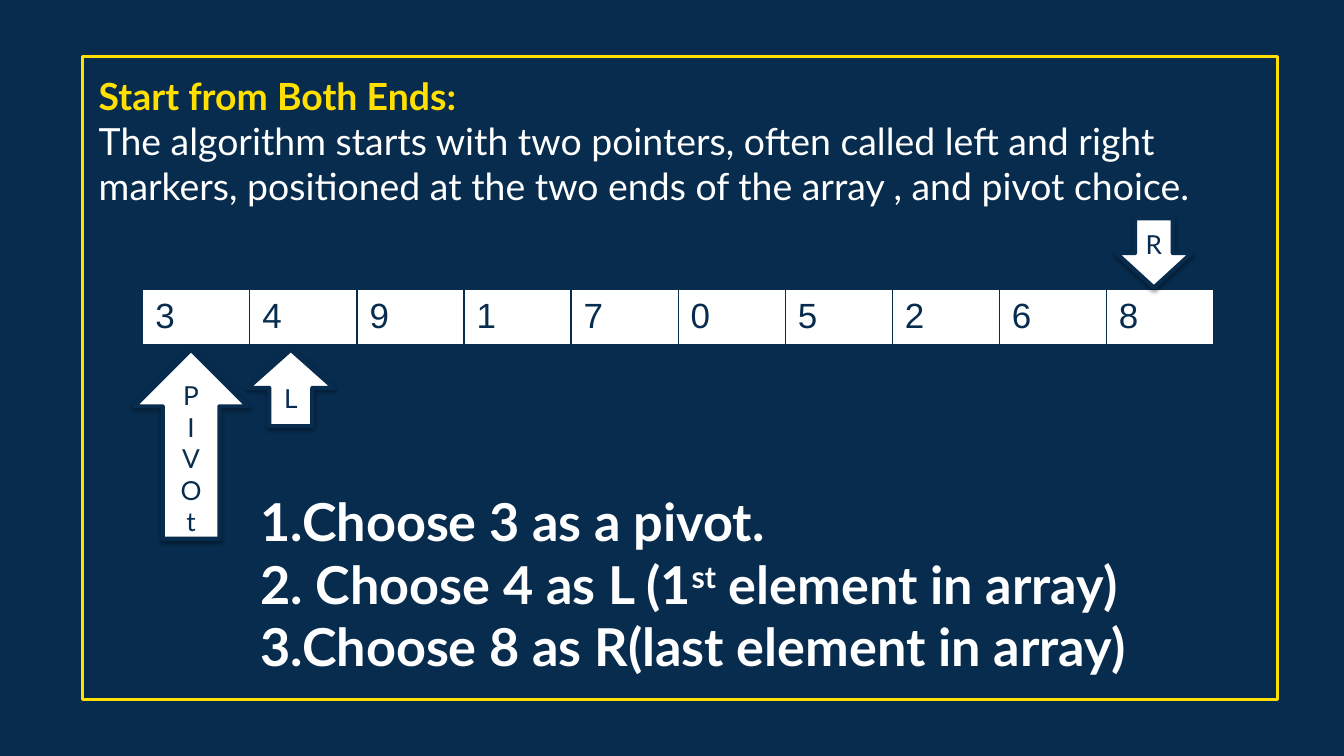
from dataclasses import dataclass

from lxml import etree
from pptx import Presentation
from pptx.dml.color import RGBColor
from pptx.enum.shapes import MSO_SHAPE as Shape
from pptx.enum.text import MSO_ANCHOR as Anchor, PP_ALIGN as Align
from pptx.oxml import parse_xml
from pptx.oxml.ns import nsdecls, qn
from pptx.util import Emu, Pt

EMU_PER_PX = 9525


@dataclass(frozen=True)
class Theme:
    navy: str = "072C4E"
    yellow: str = "FFE000"
    white: str = "FFFFFF"
    body_font: str = "Lato"
    cell_font: str = "Arial"
    pointer_size: float = 18.7
    cell_size: float = 25
    intro_size: float = 26.7
    step_size: float = 37.3


T = Theme()


def px(n):
    return Emu(n * EMU_PER_PX)


def rgb(color):
    return RGBColor.from_string(color)


def add_text(p, text, *, size, color, font=T.body_font, bold=False, raised=False):
    r = p.add_run()
    r.text = text
    r.font.size = Pt(size)
    r.font.name = font
    r.font.bold = bold
    r.font.color.rgb = rgb(color)
    if raised:
        r.font._element.set("baseline", "30000")


def add_paragraph(tf, index):
    return tf.add_paragraph() if index else tf.paragraphs[0]


def add_box(s, kind, box, fill, line, weight):
    sp = s.shapes.add_shape(kind, *map(px, box))
    sp.shadow.inherit = False
    sp.fill.solid()
    sp.fill.fore_color.rgb = rgb(fill)
    sp.line.color.rgb = rgb(line)
    sp.line.width = Pt(weight)
    return sp


def add_frame(s, box):
    sp = add_box(s, Shape.RECTANGLE, box, T.navy, T.yellow, 2.25)
    color = sp._element.spPr.find(qn("a:solidFill"))[0]
    etree.SubElement(color, qn("a:alpha")).set("val", "91000")


def add_pointer(s, kind, box, label):
    """Arrow with one letter of its label per line."""
    sp = add_box(s, kind, box, T.white, T.navy, 3)
    sp._element.spPr.find(qn("a:effectLst")).append(parse_xml(
        f'<a:outerShdw {nsdecls("a")} blurRad="{Pt(3.1)}" dist="{Pt(1.6)}" '
        'dir="5400000" rotWithShape="0"><a:srgbClr val="000000">'
        '<a:alpha val="38000"/></a:srgbClr></a:outerShdw>'))
    tf = sp.text_frame
    tf.word_wrap = True
    tf.vertical_anchor = Anchor.MIDDLE
    for i, letter in enumerate(label):
        p = add_paragraph(tf, i)
        p.alignment = Align.CENTER
        add_text(p, letter, size=T.pointer_size, color=T.navy)


def add_text_box(s, box, margins=(10, 5)):
    tf = s.shapes.add_textbox(*map(px, box)).text_frame
    tf.word_wrap = True
    tf.margin_left = tf.margin_right = px(margins[0])
    tf.margin_top = tf.margin_bottom = px(margins[1])
    return tf


def set_borders(cell):
    tc_pr = cell._tc.get_or_add_tcPr()
    sides = (("lnL", 1), ("lnR", 1), ("lnT", 1), ("lnB", 3))
    for i, (side, weight) in enumerate(sides):
        tc_pr.insert(i, parse_xml(
            f'<a:{side} {nsdecls("a")} w="{Pt(weight)}"><a:solidFill>'
            f'<a:srgbClr val="{T.navy}"/></a:solidFill></a:{side}>'))


def add_array(s, values, left, top, cell_width, height):
    table = s.shapes.add_table(1, len(values), px(left), px(top),
                               px(cell_width * len(values)), px(height)).table
    table.first_row = table.horz_banding = False
    for i, value in enumerate(values):
        table.columns[i].width = px(cell_width)
        cell = table.cell(0, i)
        cell.margin_left = cell.margin_right = px(12)
        cell.margin_top = cell.margin_bottom = px(7)
        cell.fill.solid()
        cell.fill.fore_color.rgb = rgb(T.white)
        set_borders(cell)
        add_text(cell.text_frame.paragraphs[0], str(value), size=T.cell_size,
                 color=T.navy, font=T.cell_font)


def add_intro(s):
    tf = add_text_box(s, (84, 65, 1123, 139))
    add_text(tf.paragraphs[0], "Start from Both Ends:", size=T.intro_size,
             color=T.yellow, bold=True)
    add_text(tf.add_paragraph(),
             "The algorithm starts with two pointers, often called left and right "
             "markers, positioned at the two ends of the array , and pivot choice.",
             size=T.intro_size, color=T.white)


def add_steps(s):
    # Each step is a list of runs; the "st" run is superscript
    steps = (["1.Choose 3 as a pivot."],
             ["2. Choose 4 as L (1", "st", " element in array)"],
             ["3.Choose 8 as R(last element in array)"])
    tf = add_text_box(s, (236, 459, 948, 193), margins=(12, 7))
    for i, runs in enumerate(steps):
        p = add_paragraph(tf, i)
        for text in runs:
            add_text(p, text, size=T.step_size, color=T.white, bold=True,
                     raised=text == "st")


def main():
    prs = Presentation()
    prs.slide_width, prs.slide_height = px(1280), px(720)
    s = prs.slides.add_slide(prs.slide_layouts[6])
    s.background.fill.solid()
    s.background.fill.fore_color.rgb = rgb(T.navy)

    # Frame and array
    add_frame(s, (79, 54, 1138, 612))
    add_array(s, (3, 4, 9, 1, 7, 0, 5, 2, 6, 8), 136, 276, 102, 53)

    # Pointers into the array
    add_pointer(s, Shape.UP_ARROW, (128, 333, 108, 180), "PIVOt")
    add_pointer(s, Shape.UP_ARROW, (236, 333, 82, 73), "L")
    add_pointer(s, Shape.DOWN_ARROW, (1063, 208, 72, 66), "R")

    # Explanation
    add_intro(s)
    add_steps(s)
    prs.save("out.pptx")


if __name__ == "__main__":
    main()
